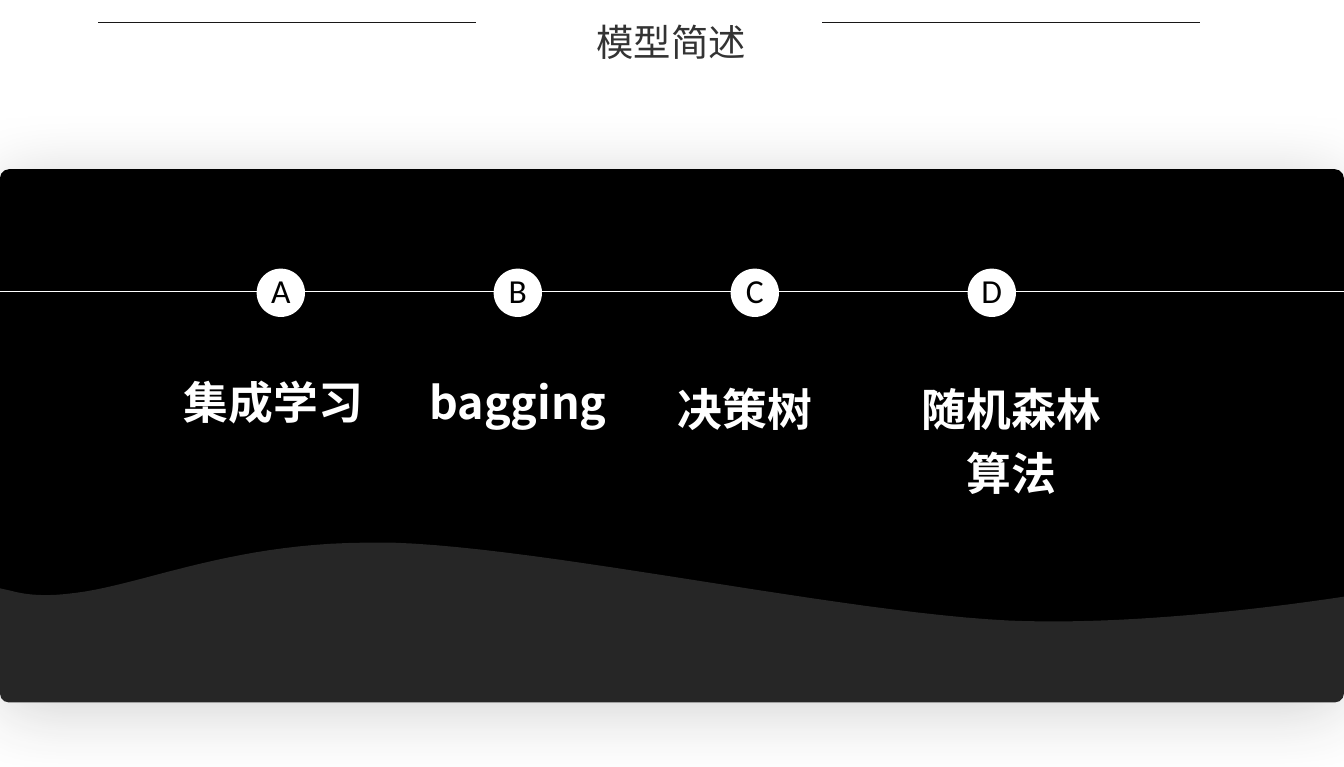
from lxml.etree import SubElement as Sub
from pptx import Presentation
from pptx.dml.color import RGBColor as RGB
from pptx.enum.shapes import MSO_CONNECTOR as Link, MSO_SHAPE as Kind
from pptx.enum.text import MSO_ANCHOR as Anchor, PP_ALIGN as Align
from pptx.oxml.ns import qn
from pptx.util import Inches, Pt

TITLE = "模型简述"
STEPS = [
    ("A", "集成学习", 1.35, 2.71, 0.48),
    ("B", "bagging", 3.17, 2.71, 0.48),
    ("C", "决策树", 4.86, 2.76, 0.48),
    ("D", "随机森林算法", 6.84, 2.76, 0.97),
]
RULES = [(0.73, 3.54), (6.12, 8.93)]
WAVE = [
    (2.71, 4.04),
    (2.78, 4.04, 2.85, 4.04, 2.93, 4.04),
    (4.09, 4.08, 6.27, 4.56, 7.51, 4.62),
    (8.43, 4.66, 9.57, 4.51, 10.08, 4.43),
    (10.1, 4.42), (10.1, 5.64), (0, 5.64), (0, 4.38), (0.09, 4.4),
    (0.2, 4.43, 0.34, 4.44, 0.51, 4.42),
    (1.03, 4.37, 1.67, 4.05, 2.71, 4.04),
]
THEME = {
    "cjk": "Noto Sans CJK JP", "latin": "Calibri",
    "head": "333333", "rule": "181717", "dark": "000000", "light": "FFFFFF",
    "title": 20, "label": 24, "mark": 18,
}
FIRST, LAST, DOT = 1.91, 7.2, 0.36
STEP = (LAST - FIRST) / (len(STEPS) - 1)


def box(x, y, w, h):
    return [Inches(v) for v in (x, y, w, h)]


def color(key):
    return RGB.from_string(THEME[key])


def paint(shape, key):
    shape.shadow.inherit = False
    shape.fill.solid()
    shape.fill.fore_color.rgb = color(key)
    shape.line.fill.background()


def write(shape, text, face, size, tint, bold=False, pad=0.0, wrap=True):
    frame = shape.text_frame
    frame.text = text
    frame.word_wrap = wrap
    frame.vertical_anchor = Anchor.TOP
    frame.margin_left = frame.margin_right = 0
    frame.margin_top = frame.margin_bottom = Inches(pad)
    para = frame.paragraphs[0]
    para.alignment = Align.CENTER
    font = para.runs[0].font
    font.name, font.size, font.bold = THEME[face], Pt(THEME[size]), bold
    font.color.rgb = color(tint)
    Sub(font._element, qn("a:ea"), typeface=THEME[face])
    return para


def rule(shapes, x1, x2, y, tint):
    line = shapes.add_connector(Link.STRAIGHT, *box(x1, y, x2, y))
    line.line.color.rgb = color(tint)
    line.line.width = Pt(0.5)
    Sub(line._element.spPr, qn("a:effectLst"))


def trace(parts, count=24):
    spots = [parts[0]]
    for part in parts[1:]:
        if len(part) == 2:
            spots.append(part)
            continue
        ends = [spots[-1], part[:2], part[2:4], part[4:]]
        for i in range(1, count + 1):
            t = i / count
            mix = ((1 - t) ** 3, 3 * t * (1 - t) ** 2, 3 * t * t * (1 - t), t ** 3)
            spots.append(tuple(sum(m * e[k] for m, e in zip(mix, ends)) for k in (0, 1)))
    return [(Inches(x), Inches(y)) for x, y in spots]


def panel(shapes):
    card = shapes.add_shape(Kind.ROUNDED_RECTANGLE, *box(0, 1.26, 10, 3.97))
    card.adjustments[0] = 0.017
    paint(card, "dark")
    glow = Sub(card._element.spPr.find(qn("a:effectLst")), qn("a:outerShdw"),
               blurRad=str(Pt(39)), dist=str(Pt(6)), dir="5400000",
               algn="ctr", rotWithShape="0")
    tone = Sub(glow, qn("a:srgbClr"), val=THEME["dark"])
    Sub(tone, qn("a:alpha"), val="20000")

    spots = trace(WAVE)
    pen = shapes.build_freeform(*spots[0])
    pen.add_line_segments(spots[1:], close=True)
    wave = pen.convert_to_shape()
    paint(wave, "light")
    tone = wave._element.spPr.find(qn("a:solidFill"))[0]
    Sub(tone, qn("a:alpha"), val="15000")


def main():
    deck = Presentation()
    deck.slide_width, deck.slide_height = Inches(10), Inches(5.71)
    slide = deck.slides.add_slide(deck.slide_layouts[5])
    shapes = slide.shapes
    title = shapes.title
    title.left, title.top, title.width, title.height = box(4.34, 0.09, 1.31, 0.44)
    write(title, TITLE, "cjk", "title", "head", pad=0.05)
    for x1, x2 in RULES:
        rule(shapes, x1, x2, 0.17, "rule")
    panel(shapes)
    rule(shapes, 0, 10, 2.17, "light")
    for i, (mark, label, x, y, h) in enumerate(STEPS):
        left = FIRST + i * STEP
        dot = shapes.add_shape(Kind.OVAL, *box(left, 2, DOT, DOT))
        paint(dot, "light")
        note = shapes.add_textbox(*box(left, 1.96, DOT, 0.4))
        write(note, mark, "latin", "mark", "dark", pad=0.05, wrap=False)
        name = shapes.add_textbox(*box(x, y, 1.37, h))
        write(name, label, "cjk", "label", "light", bold=True).line_spacing = 1.2
    deck.save("out.pptx")


if __name__ == "__main__":
    main()
